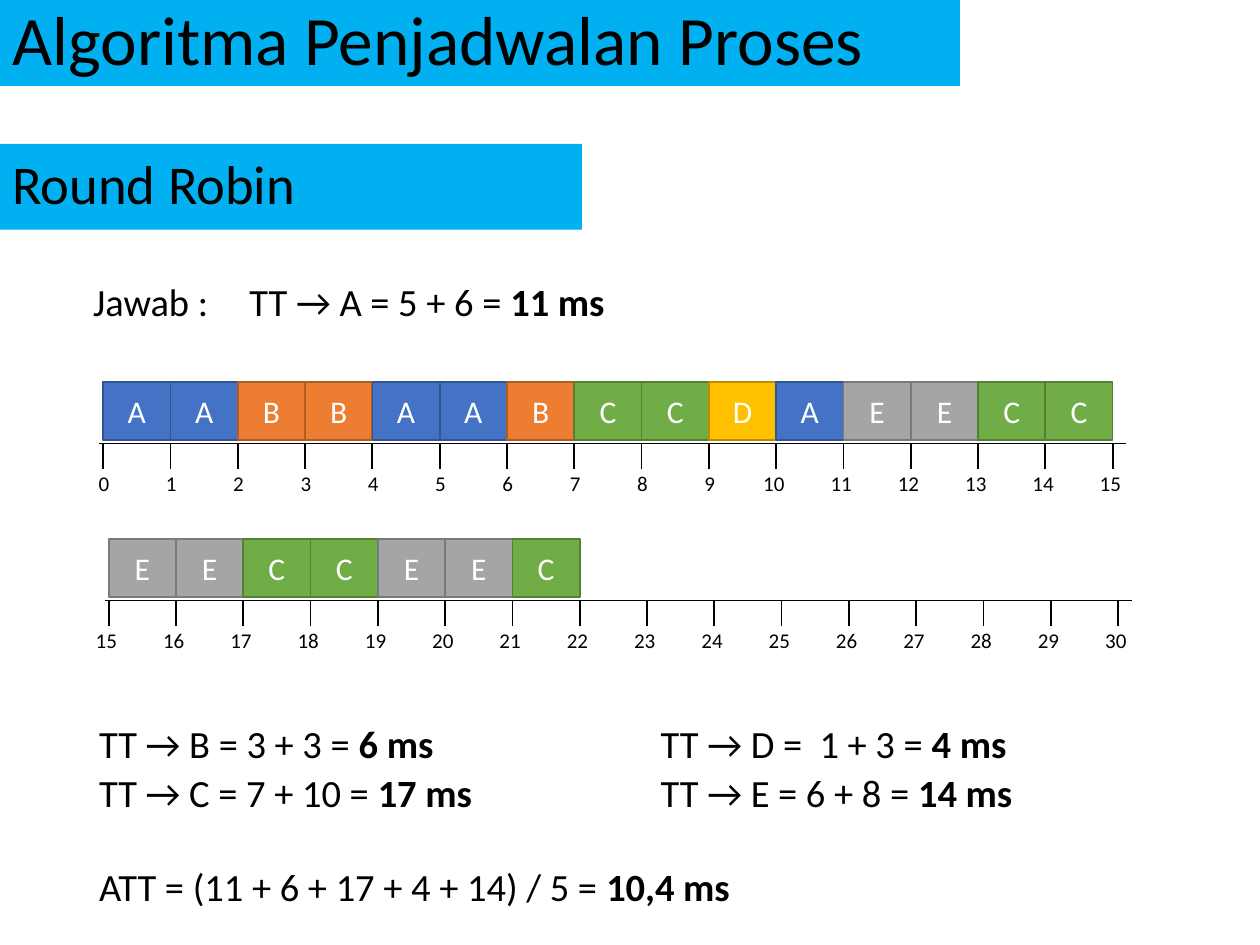
from dataclasses import dataclass

from lxml import etree
from pptx import Presentation
from pptx.dml.color import RGBColor
from pptx.enum.shapes import MSO_CONNECTOR, MSO_SHAPE
from pptx.enum.text import MSO_ANCHOR, MSO_AUTO_SIZE, PP_ALIGN
from pptx.oxml.ns import qn
from pptx.util import Cm, Pt

RECTANGLE = MSO_SHAPE.RECTANGLE
STRAIGHT = MSO_CONNECTOR.STRAIGHT
MIDDLE = MSO_ANCHOR.MIDDLE
LEFT, CENTER, JUSTIFY = PP_ALIGN.LEFT, PP_ALIGN.CENTER, PP_ALIGN.JUSTIFY
FIXED, GROW = MSO_AUTO_SIZE.NONE, MSO_AUTO_SIZE.SHAPE_TO_FIT_TEXT


@dataclass(frozen=True)
class Theme:
    font: str = "Calibri"
    text: str = "000000"
    block_text: str = "FFFFFF"
    banner: str = "00B0F0"
    title_size: float = 39.6
    subtitle_size: float = 31.2
    body_size: float = 22
    block_size: float = 18
    label_size: float = 12


@dataclass(frozen=True)
class Process:
    fill: str
    border: str


@dataclass(frozen=True)
class Timeline:
    """One row of the Gantt chart; lengths in cm."""
    left: float
    top: float
    first_time: int
    schedule: str


@dataclass(frozen=True)
class Answer:
    left: float
    top: float
    width: float
    text: str
    result: str = ""


THEME = Theme()
PROCESSES = {
    "A": Process("4472C4", "325491"),
    "B": Process("ED7D31", "AF5C24"),
    "C": Process("70AD47", "538035"),
    "D": Process("FFC000", "BD8E00"),
    "E": Process("A5A5A5", "7A7A7A"),
}
TIMELINES = [
    Timeline(2.08, 7.7, 0, "AABBAABCCDAEECC"),
    Timeline(2.19, 10.87, 15, "EECCEEC"),
]
ANSWERS = [
    Answer(1.63, 5.49, 5.03, "Jawab :"),
    Answer(4.78, 5.49, 11.3, "TT → A = 5 + 6 = ", "11 ms"),
    Answer(1.75, 14.4, 9.83, "TT → B = 3 + 3 = ", "6 ms"),
    Answer(1.75, 15.37, 9.45, "TT → C = 7 + 10 = ", "17 ms"),
    Answer(13.07, 14.4, 10.59, "TT → D =  1 + 3 = ", "4 ms"),
    Answer(13.07, 15.37, 10.59, "TT → E = 6 + 8 = ", "14 ms"),
    Answer(1.75, 17.27, 14.83, "ATT = (11 + 6 + 17 + 4 + 14) / 5 = ", "10,4 ms"),
]
UNITS = 15
UNIT_WIDTH = 20.35 / UNITS
BLOCK_HEIGHT = 1.17
AXIS_DROP = 1.24
TICK_LENGTH = 0.51
LABEL_DROP = 1.66


def style_paragraph(paragraph, size: float, color: str, alignment) -> None:
    paragraph.alignment = alignment
    paragraph.font.name = THEME.font
    paragraph.font.size = Pt(size)
    paragraph.font.color.rgb = RGBColor.from_string(color)


def style_banner(shape, text: str, size: float) -> None:
    shape.fill.solid()
    shape.fill.fore_color.rgb = RGBColor.from_string(THEME.banner)
    shape.line.fill.background()
    frame = shape.text_frame
    frame.text = text
    frame.auto_size = FIXED
    frame.vertical_anchor = MIDDLE
    frame.paragraphs[0].line_spacing = 0.9
    style_paragraph(frame.paragraphs[0], size, THEME.text, LEFT)


def add_text(shapes, left: float, top: float, width: float, height: float,
             text: str, size: float, alignment):
    """Add a one-line text box and return its paragraph."""
    box = shapes.add_textbox(Cm(left), Cm(top), Cm(width), Cm(height))
    frame = box.text_frame
    frame.word_wrap = True
    frame.auto_size = GROW
    paragraph = frame.paragraphs[0]
    paragraph.add_run().text = text
    style_paragraph(paragraph, size, THEME.text, alignment)
    return paragraph


def add_line(shapes, x1: float, y1: float, x2: float, y2: float, weight: float) -> None:
    line = shapes.add_connector(STRAIGHT, Cm(x1), Cm(y1), Cm(x2), Cm(y2))
    line.line.color.rgb = RGBColor.from_string(THEME.text)
    line.line.width = Pt(weight)
    etree.SubElement(line._element.spPr, qn("a:effectLst"))


def add_axis(slide, timeline: Timeline) -> None:
    shapes = slide.shapes.add_group_shape().shapes
    axis_top = timeline.top + AXIS_DROP
    add_line(shapes, timeline.left - 0.08, axis_top, timeline.left + 20.62, axis_top, 0.5)
    for unit in range(UNITS + 1):
        x = timeline.left + unit * UNIT_WIDTH
        add_line(shapes, x, axis_top, x, axis_top + TICK_LENGTH, 1)
        label = str(timeline.first_time + unit)
        digits = len(label)
        add_text(shapes, x - 0.17 * (digits + 1), timeline.top + LABEL_DROP,
                 0.66 + 0.18 * digits, 0.77, label, THEME.label_size, LEFT)


def add_blocks(slide, timeline: Timeline) -> None:
    for unit, name in enumerate(timeline.schedule):
        process = PROCESSES[name]
        block = slide.shapes.add_shape(
            RECTANGLE, Cm(timeline.left + unit * UNIT_WIDTH), Cm(timeline.top),
            Cm(UNIT_WIDTH), Cm(BLOCK_HEIGHT))
        block.shadow.inherit = False
        block.fill.solid()
        block.fill.fore_color.rgb = RGBColor.from_string(process.fill)
        block.line.color.rgb = RGBColor.from_string(process.border)
        block.line.width = Pt(1)
        frame = block.text_frame
        frame.text = name
        frame.vertical_anchor = MIDDLE
        style_paragraph(frame.paragraphs[0], THEME.block_size, THEME.block_text, CENTER)


def add_answer(slide, answer: Answer) -> None:
    paragraph = add_text(slide.shapes, answer.left, answer.top, answer.width, 1.19,
                         answer.text, THEME.body_size, JUSTIFY)
    if answer.result:
        result = paragraph.add_run()
        result.text = answer.result
        result.font.bold = True


def main() -> None:
    presentation = Presentation()
    presentation.slide_width, presentation.slide_height = Cm(25.4), Cm(19.05)
    slide = presentation.slides.add_slide(presentation.slide_layouts[5])

    # Title and subtitle banners
    title = slide.shapes.title
    title.left, title.top, title.width, title.height = Cm(0), Cm(0), Cm(19.35), Cm(1.73)
    style_banner(title, "Algoritma Penjadwalan Proses", THEME.title_size)
    subtitle = slide.shapes.add_shape(RECTANGLE, Cm(0), Cm(2.9), Cm(11.73), Cm(1.73))
    subtitle.shadow.inherit = False
    style_banner(subtitle, "Round Robin", THEME.subtitle_size)

    # Gantt chart rows
    for timeline in TIMELINES:
        add_axis(slide, timeline)
        add_blocks(slide, timeline)

    # Turnaround times
    for answer in ANSWERS:
        add_answer(slide, answer)

    presentation.save("out.pptx")


if __name__ == "__main__":
    main()
